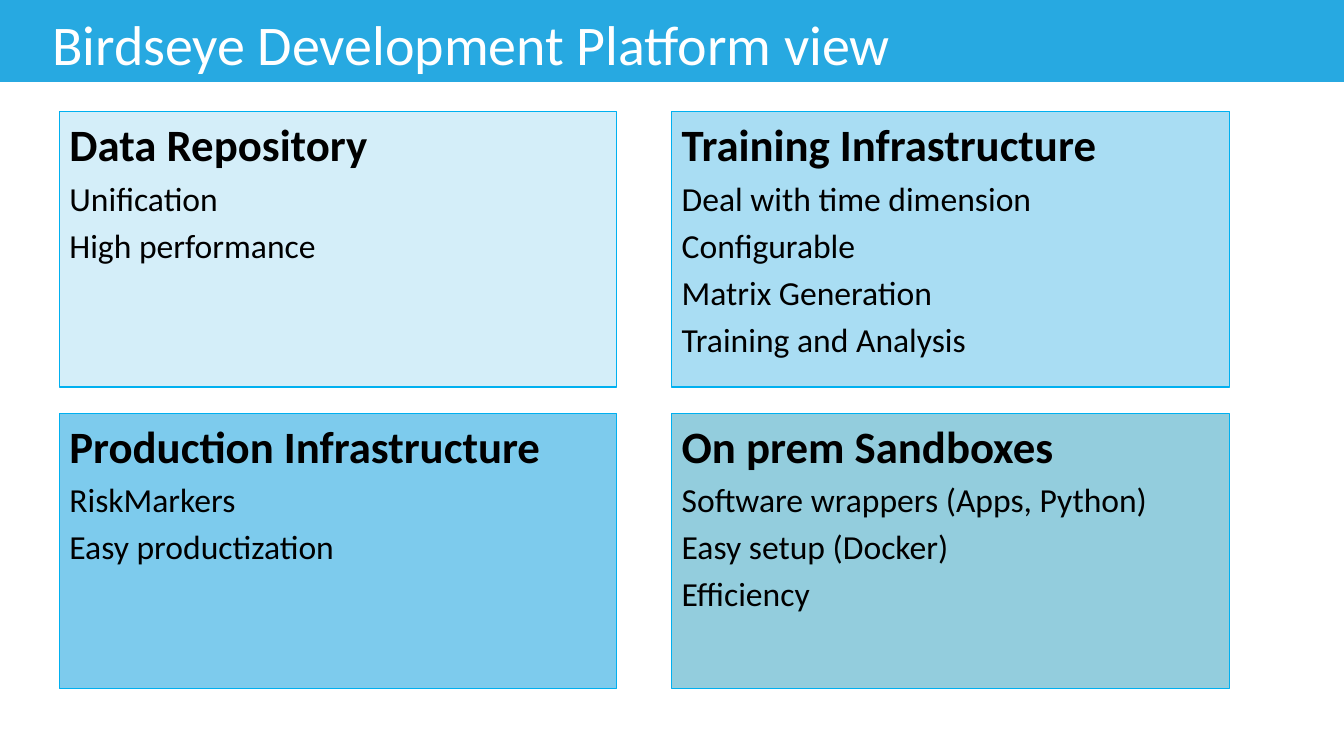
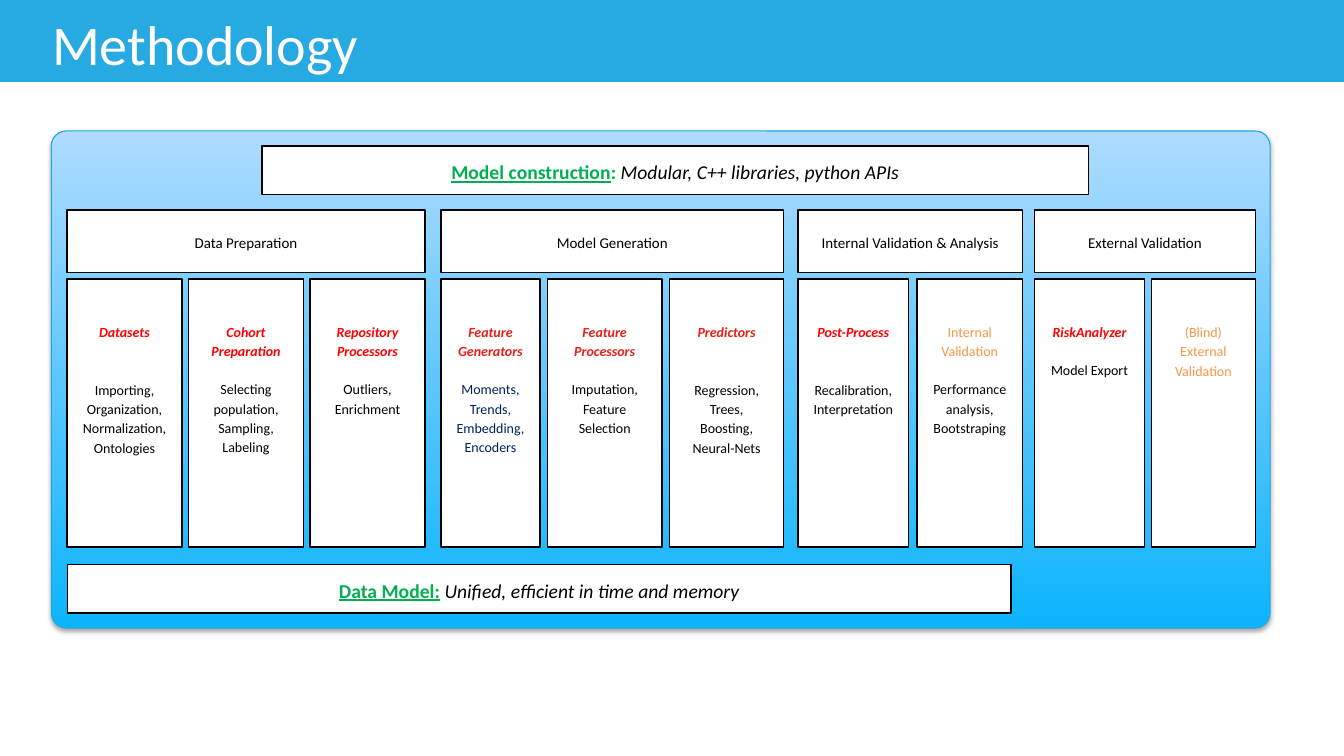
from collections import namedtuple
from itertools import accumulate

from lxml import etree
from pptx import Presentation
from pptx.dml import color
from pptx.enum import shapes, text
from pptx.oxml import ns
from pptx.util import Pt

Box = namedtuple("Box", "left top width height")
Span = namedtuple("Span", "words colour bold italic underline", defaults=(False, False, False))
Card = namedtuple("Card", "width heading body skipped_lines", defaults=(0,))
Stage = namedtuple("Stage", "name left width cards")

FONT = "Calibri"
BLACK, WHITE = "000000", "FFFFFF"
BAND_BLUE, BOX_EDGE = "27A9E1", "00B0F0"
GREEN, RED, BRICK, ORANGE, NAVY = "00B050", "FF0000", "E42017", "F79646", "002060"
PAGE_WIDTH, PAGE_HEIGHT = 960, 540
LINE_SPACING, PARAGRAPH_GAP, CARD_LINE = 1.15, 13.3, 14

TOPICS = [
    ("Data Repository", "D4EEF9", ["Unification", "High performance"]),
    ("Training Infrastructure", "A9DDF3",
     ["Deal with time dimension", "Configurable", "Matrix Generation", "Training and Analysis"]),
    ("Production Infrastructure", "7DCBED", ["RiskMarkers", "Easy productization"]),
    ("On prem Sandboxes", "93CDDD",
     ["Software wrappers (Apps, Python)", "Easy setup (Docker)", "Efficiency"]),
]


def key_heading(words, colour=RED):
    return Span(words, colour, bold=True, italic=True)


STAGES = [
    Stage("Data Preparation", 11.2, 255.6, [
        Card(82, key_heading("Datasets"),
             Span("Importing, Organization, Normalization, Ontologies", BLACK), 1),
        Card(82, key_heading("Cohort Preparation"),
             Span("Selecting population, Sampling, Labeling", BLACK)),
        Card(82, key_heading("Repository Processors"), Span("Outliers, Enrichment", BLACK)),
    ]),
    Stage("Model Generation", 278.3, 244.8, [
        Card(70.6, key_heading("Feature Generators", BRICK),
             Span("Moments, Trends, Embedding, Encoders", NAVY)),
        Card(82, key_heading("Feature Processors", BRICK),
             Span("Imputation, Feature Selection", BLACK)),
        Card(81.6, key_heading("Predictors", BRICK),
             Span("Regression, Trees, Boosting, Neural-Nets", BLACK), 1),
    ]),
    Stage("Internal Validation & Analysis", 533.2, 160.6, [
        Card(79.2, key_heading("Post-Process"),
             Span("Recalibration, Interpretation", BLACK), 1),
        Card(75.6, Span("Internal Validation", ORANGE),
             Span("Performance analysis, Bootstraping", BLACK)),
    ]),
    Stage("External Validation", 702.3, 157.7, [
        Card(78.5, key_heading("RiskAnalyzer"), Span("Model Export", BLACK)),
        Card(74.2, Span("(Blind) External Validation", ORANGE), None),
    ]),
]


def paint(target, colour):
    target.rgb = color.RGBColor.from_string(colour)


def add_block(page, box, fill=None, edge=None, weight=1, kind=shapes.MSO_SHAPE.RECTANGLE):
    block = page.shapes.add_shape(kind, *map(Pt, box))
    block.shadow.inherit = False
    if fill:
        block.fill.solid()
        paint(block.fill.fore_color, fill)
    if edge:
        paint(block.line.color, edge)
        block.line.width = Pt(weight)
    else:
        block.line.fill.background()
    return block


def set_frame(shape, anchor, side=7.2, top=3.6, bottom=3.6):
    frame = shape.text_frame
    frame.word_wrap = True
    frame.vertical_anchor = anchor
    frame.margin_left = frame.margin_right = Pt(side)
    frame.margin_top, frame.margin_bottom = Pt(top), Pt(bottom)
    return frame


def write(frame, index, spans, size, align=text.PP_ALIGN.LEFT):
    para = frame.paragraphs[0] if index == 0 else frame.add_paragraph()
    para.alignment = align
    for span in spans:
        run = para.add_run()
        run.text = span.words
        font = run.font
        font.name, font.size = FONT, Pt(size)
        font.bold, font.italic, font.underline = span.bold, span.italic, span.underline
        paint(font.color, span.colour)
    return para


def add_page(deck, title):
    page = deck.slides.add_slide(deck.slide_layouts[6])
    add_block(page, Box(0, -0.5, PAGE_WIDTH, 59), BAND_BLUE)
    title_box = page.shapes.add_textbox(*map(Pt, Box(30.2, 2.9, 800, 55.4)))
    write(set_frame(title_box, text.MSO_ANCHOR.MIDDLE), 0, [Span(title, WHITE)], 40)
    return page


def add_topic(page, box, heading, fill, items):
    block = add_block(page, box, fill, BOX_EDGE, 0.75)
    frame = set_frame(block, text.MSO_ANCHOR.TOP)
    write(frame, 0, [Span(heading, BLACK, bold=True)], 32)
    for index, item in enumerate(items, 1):
        write(frame, index, [Span(item, BLACK)], 24).space_before = Pt(4.8)


def add_topic_grid(page, area, gap_across, gap_down):
    width = (area.width - gap_across) / 2
    height = (area.height - gap_down) / 2
    for index, topic in enumerate(TOPICS):
        row, column = divmod(index, 2)
        add_topic(page, Box(area.left + column * (width + gap_across),
                            area.top + row * (height + gap_down), width, height), *topic)


def add_label(page, box, spans, size):
    block = add_block(page, box, WHITE, BLACK)
    frame = set_frame(block, text.MSO_ANCHOR.MIDDLE, 9.6, 5, 5)
    para = write(frame, 0, spans, size, text.PP_ALIGN.CENTER)
    para.line_spacing = LINE_SPACING


def add_card(page, box, card):
    frame = set_frame(add_block(page, box, WHITE, BLACK), text.MSO_ANCHOR.TOP, 9.6, 30, 5)
    for index, span in enumerate(filter(None, (card.heading, card.body))):
        para = write(frame, index, [span], 10, text.PP_ALIGN.CENTER)
        para.line_spacing = LINE_SPACING
        if index:
            para.space_before = Pt(PARAGRAPH_GAP + card.skipped_lines * CARD_LINE)


def add_stage(page, box, stage):
    header_height, card_top = 44.6, 49.3
    add_label(page, box._replace(height=header_height), [Span(stage.name, BLACK)], 10.7)
    widths = [card.width for card in stage.cards]
    gap = (box.width - sum(widths)) / (len(widths) - 1)
    offsets = accumulate((width + gap for width in widths[:-1]), initial=0)
    for offset, card in zip(offsets, stage.cards):
        add_card(page, Box(box.left + offset, box.top + card_top,
                           card.width, box.height - card_top), card)


def add_soft_shadow(shape):
    effects = shape._element.spPr.find(ns.qn("a:effectLst"))
    shadow = etree.SubElement(effects, ns.qn("a:outerShdw"), blurRad=str(Pt(3.1)),
                              dist=str(Pt(1.8)), dir="5400000", rotWithShape="0")
    tint = etree.SubElement(shadow, ns.qn("a:srgbClr"), val=BLACK)
    etree.SubElement(tint, ns.qn("a:alpha"), val="35000")


def add_panel(page, box):
    panel = add_block(page, box, None, "22A7E1", 0.75, shapes.MSO_SHAPE.ROUNDED_RECTANGLE)
    panel.adjustments[0] = 0.03
    panel.fill.gradient()
    panel.fill.gradient_angle = 90
    for stop, colour in zip(panel.fill.gradient_stops, ("0BB4FD", "AFDBFF")):
        paint(stop.color, colour)
    add_soft_shadow(panel)


def add_methodology(page, box):
    add_panel(page, box)
    add_label(page, Box(box.left + 150.5, box.top + 10.8, 590.4, 34.6), [
        Span("Model construction", GREEN, bold=True, underline=True),
        Span(": ", GREEN, bold=True),
        Span("Modular, C++ libraries, python APIs", BLACK, italic=True)], 14)
    for stage in STAGES:
        add_stage(page, Box(box.left + stage.left, box.top + 56.5, stage.width, 240.8), stage)
    add_label(page, Box(box.left + 11.5, box.top + 309.6, 674, 34.6), [
        Span("Data Model:", GREEN, bold=True, underline=True),
        Span(" ", GREEN),
        Span("Unified, efficient in time and memory", BLACK, italic=True)], 14)


def main():
    deck = Presentation()
    deck.slide_width, deck.slide_height = Pt(PAGE_WIDTH), Pt(PAGE_HEIGHT)
    add_topic_grid(add_page(deck, "Birdseye Development Platform view"),
                   Box(42.5, 80, 835.5, 412), 39.2, 19)
    add_methodology(add_page(deck, "Methodology"), Box(36.7, 93.6, 870.5, 355))
    deck.save("out.pptx")


if __name__ == "__main__":
    main()
